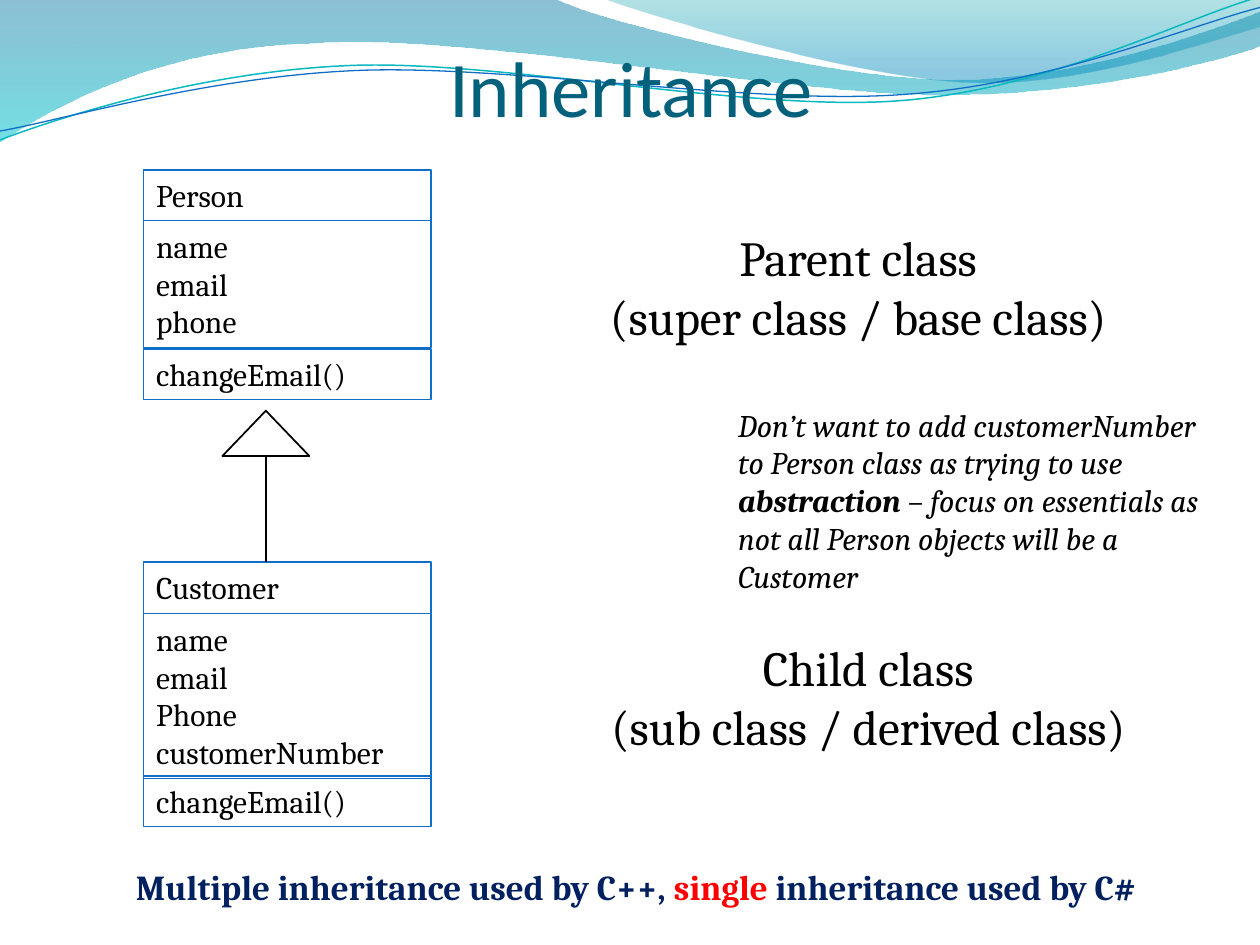
"""Build the Inheritance slide: a UML class pair with notes on a wave background."""
import math

from lxml import etree
from pptx import Presentation
from pptx import util as u
from pptx.dml.color import RGBColor
from pptx.enum import shapes, text
from pptx.oxml.ns import qn

COLORS = {
    "title": "04617B", "ink": "000000", "paper": "FFFFFF", "outline": "0F6FC6",
    "navy": "002060", "red": "FF0000", "teal_line": "0AB8BF",
    "deep_blue": "0074A1", "aqua": "00C6CF", "teal": "00A1A9", "sky": "008BBF",
}
CLASS_LEFT, CLASS_WIDTH = 1.14, 2.28
AXIS, TRIANGLE_TOP, CUSTOMER_TOP = 2.11, 3.26, 4.46
TRIANGLE_WIDTH, TRIANGLE_HEIGHT = 0.69, 0.36
TILT = -2.7

COMPARTMENTS = [
    (1.35, 0.4, ["Person"]),
    (1.75, 1.01, ["name", "email", "phone"]),
    (2.77, 0.4, ["changeEmail()"]),
    (CUSTOMER_TOP, 0.41, ["Customer"]),
    (4.87, 1.31, ["name", "email", "Phone", "customerNumber"]),
    (6.16, 0.4, ["changeEmail()"]),
]
HEADING = {"size": 28, "align": text.PP_ALIGN.CENTER}
NOTES = [
    ((4.37, 1.76, 4.88, 1.04), ["Parent class", "(super class / base class)"], HEADING),
    ((4.53, 5.01, 4.72, 1.04), ["Child class", "(sub class / derived class)"], HEADING),
    ((0.98, 6.82, 8.5, 0.44), [[
        ("Multiple inheritance used by C++, ", {"bold": True, "color": "navy"}),
        ("single", {"bold": True, "color": "red"}),
        (" inheritance used by C#", {"bold": True, "color": "navy"}),
    ]], {"size": 20}),
    ((5.76, 3.17, 4.05, 1.62), [[
        ("Don’t want to add customerNumber to Person class as trying to use ", {"italic": True}),
        ("abstraction", {"italic": True, "bold": True}),
        (" – focus on essentials as not all Person objects will be a Customer", {"italic": True}),
    ]], {}),
]
WAVES = [
    {"start": (0, 0), "fill": [(0, "deep_blue", 45), (100, "aqua", 55)], "segments": [
        [(4.4, -0.01)],
        [(4.76, 0.17), (6.64, 0.63), (7.58, 0.63)],
        [(8.53, 0.63), (9.58, 0.26), (10, 0.09)],
        [(10.01, 0.36)],
        [(9.83, 0.44), (8.7, 0.76), (7.46, 0.75)],
        [(6.22, 0.75), (3.82, 0.28), (2.57, 0.34)],
        [(1.29, 0.36), (0.46, 0.83), (-0.01, 1.13)]]},
    {"start": (4.79, -0.01), "fill": [(0, "teal", 30), (80, "sky", 45)], "segments": [
        [(5.09, 0.11), (6.82, 0.62), (7.69, 0.65)],
        [(8.56, 0.69), (9.61, 0.32), (10, 0.21)],
        [(10, 0)]]},
    {"start": (0, 1.11), "line": ("teal_line", 0.85), "pivot": (4.99, 0.58), "segments": [
        [(0.48, 0.93), (1.58, 0.57), (2.77, 0.52)],
        [(3.95, 0.47), (5.93, 0.89), (7.13, 0.8)],
        [(8.33, 0.71), (9.38, 0.15), (9.98, -0.02)]]},
    {"start": (0, 1.04), "line": ("outline", 0.75), "pivot": (5, 0.59), "segments": [
        [(0.47, 0.96), (1.64, 0.61), (2.83, 0.56)],
        [(4.03, 0.51), (5.97, 0.84), (7.17, 0.75)],
        [(8.36, 0.67), (9.41, 0.21), (10, 0.06)]]},
]


def rgb(name):
    return RGBColor.from_string(COLORS[name])


def inches(values):
    return [u.Inches(value) for value in values]


def set_line(shape, color, width):
    shape.line.color.rgb = rgb(color)
    shape.line.width = u.Pt(width)


def format_font(font, size, color="ink", name="Cambria", **values):
    for key, value in {"size": u.Pt(size), "name": name, **values}.items():
        setattr(font, key, value)
    font.color.rgb = rgb(color)


def write(shape, paragraphs, size=18, align=text.PP_ALIGN.LEFT):
    frame = shape.text_frame
    for key, value in {"word_wrap": True, "vertical_anchor": text.MSO_ANCHOR.TOP,
                       "auto_size": text.MSO_AUTO_SIZE.SHAPE_TO_FIT_TEXT}.items():
        setattr(frame, key, value)
    for index, content in enumerate(paragraphs):
        paragraph = frame.add_paragraph() if index else frame.paragraphs[0]
        paragraph.alignment = align
        runs = [(content, {})] if isinstance(content, str) else content
        for words, style in runs:
            run = paragraph.add_run()
            run.text = words
            format_font(run.font, size, **style)


def level(point, pivot):
    angle = math.radians(-TILT)
    dx, dy = point[0] - pivot[0], point[1] - pivot[1]
    return (pivot[0] + dx * math.cos(angle) - dy * math.sin(angle),
            pivot[1] + dx * math.sin(angle) + dy * math.cos(angle))


def bend(shape, segments):
    lines = list(shape._element.iter(qn("a:lnTo")))
    for segment in segments:
        group, lines = lines[:len(segment)], lines[len(segment):]
        if len(segment) == 3:
            curve = etree.Element(qn("a:cubicBezTo"))
            group[0].addprevious(curve)
            for line in group:
                curve.append(line[0])
                line.getparent().remove(line)


def fill_gradient(shape, stops):
    shape.fill.gradient()
    shape.fill.gradient_angle = 270
    stop_list = shape._element.spPr.find(qn("a:gradFill")).find(qn("a:gsLst"))
    for stop in list(stop_list):
        stop_list.remove(stop)
    for position, color, opacity in stops:
        stop = etree.SubElement(stop_list, qn("a:gs"), pos=str(position * 1000))
        tint = etree.SubElement(stop, qn("a:srgbClr"), val=COLORS[color])
        etree.SubElement(tint, qn("a:alpha"), val=str(opacity * 1000))


def add_wave(slide, wave):
    points = [wave["start"], *(point for segment in wave["segments"] for point in segment)]
    if "pivot" in wave:
        points = [level(point, wave["pivot"]) for point in points]
    corners = [inches(point) for point in points]
    builder = slide.shapes.build_freeform(*corners[0], scale=1.0)
    builder.add_line_segments(corners[1:], close="fill" in wave)
    shape = builder.convert_to_shape()
    bend(shape, wave["segments"])
    shape.shadow.inherit = False
    if "fill" in wave:
        fill_gradient(shape, wave["fill"])
        shape.line.fill.background()
    else:
        shape.rotation = TILT
        shape.fill.background()
        set_line(shape, *wave["line"])


def add_title(slide):
    title = slide.shapes.title
    slide.shapes._spTree.append(title._element)
    title.left, title.top, title.width, title.height = inches((0.51, 0.44, 9, 0.62))
    frame = title.text_frame
    for key, value in {"vertical_anchor": text.MSO_ANCHOR.BOTTOM, "margin_left": 0,
                       "margin_right": 0, "margin_bottom": 0,
                       "auto_size": text.MSO_AUTO_SIZE.NONE}.items():
        setattr(frame, key, value)
    frame.text = "Inheritance"
    frame.paragraphs[0].alignment = text.PP_ALIGN.CENTER
    format_font(frame.paragraphs[0].runs[0].font, 45, "title", "Calibri")


def add_inheritance_arrow(slide):
    stem = slide.shapes.add_connector(
        shapes.MSO_CONNECTOR.STRAIGHT, *inches((AXIS, CUSTOMER_TOP, AXIS, TRIANGLE_TOP)))
    set_line(stem, "ink", 1)
    etree.SubElement(stem._element.spPr, qn("a:effectLst"))
    head = slide.shapes.add_shape(
        shapes.MSO_SHAPE.ISOSCELES_TRIANGLE,
        *inches((AXIS - TRIANGLE_WIDTH / 2, TRIANGLE_TOP, TRIANGLE_WIDTH, TRIANGLE_HEIGHT)))
    head.shadow.inherit = False
    head.fill.solid()
    head.fill.fore_color.rgb = rgb("paper")
    set_line(head, "ink", 1)


def main():
    presentation = Presentation()
    presentation.slide_width, presentation.slide_height = inches((10, 7.5))
    slide = presentation.slides.add_slide(presentation.slide_layouts[5])
    for wave in WAVES:
        add_wave(slide, wave)
    add_title(slide)
    for top, height, lines in COMPARTMENTS:
        box = slide.shapes.add_shape(
            shapes.MSO_SHAPE.RECTANGLE, *inches((CLASS_LEFT, top, CLASS_WIDTH, height)))
        box.shadow.inherit = False
        box.fill.background()
        set_line(box, "outline", 0.75)
        write(box, lines)
    for place, paragraphs, style in NOTES:
        write(slide.shapes.add_textbox(*inches(place)), paragraphs, **style)
    add_inheritance_arrow(slide)
    presentation.save("out.pptx")


if __name__ == "__main__":
    main()
